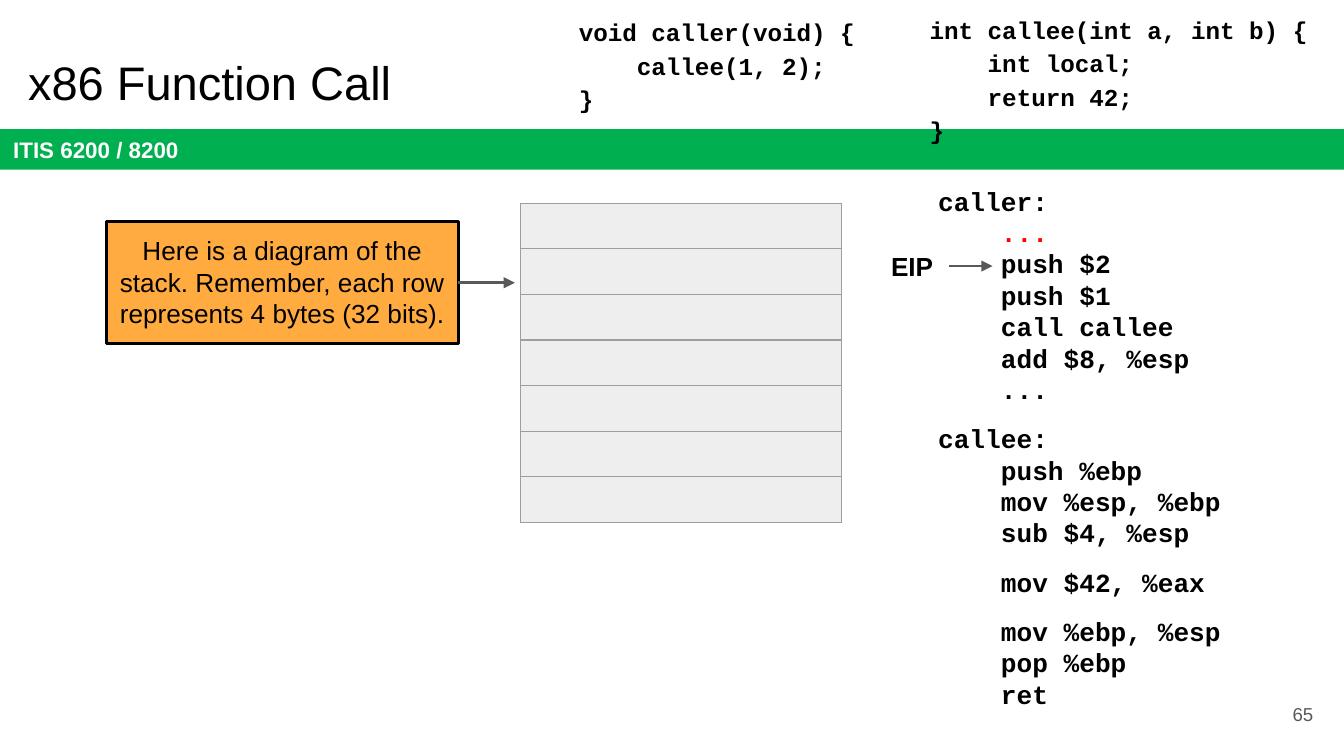
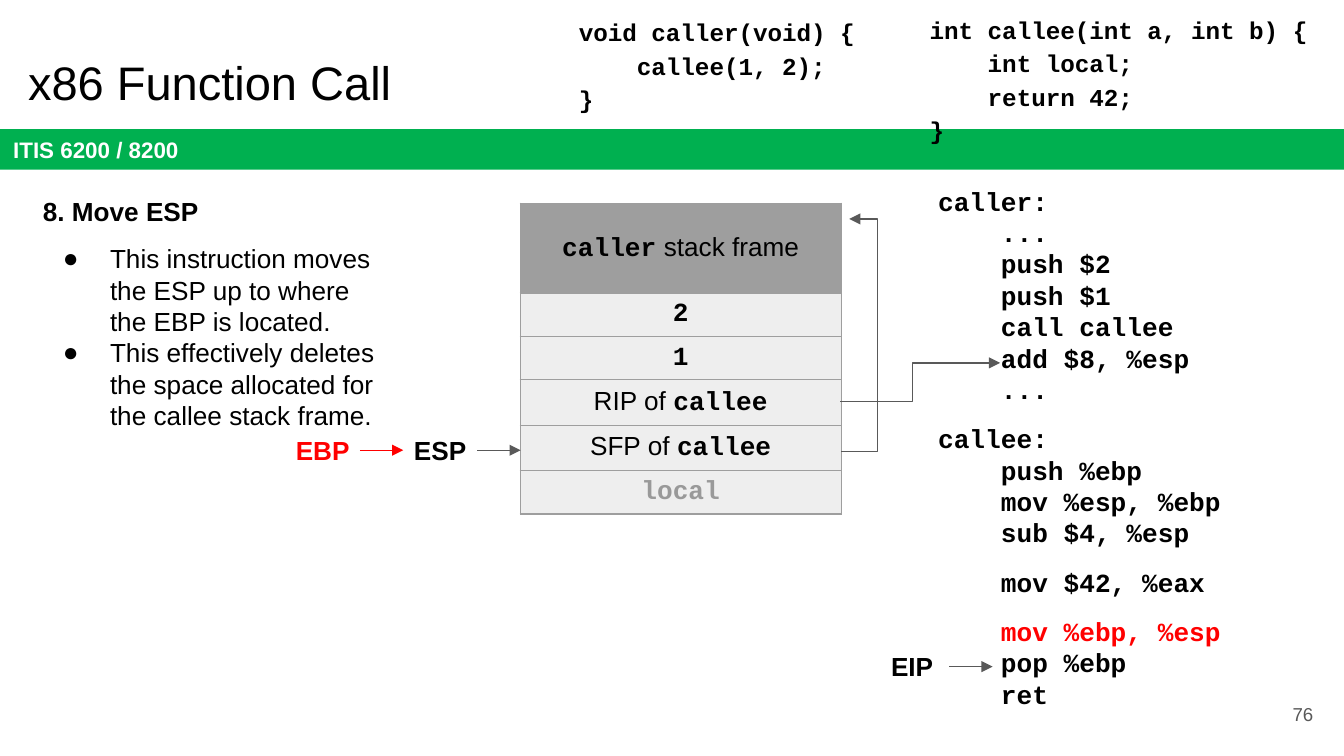
"""Builds two lecture slides that trace an x86 function call on the stack."""
from dataclasses import dataclass, replace

from lxml import etree
from pptx import Presentation
from pptx.dml.color import RGBColor
from pptx.enum.shapes import MSO_CONNECTOR, MSO_SHAPE
from pptx.enum.text import MSO_ANCHOR, MSO_AUTO_SIZE, PP_ALIGN
from pptx.oxml.ns import qn
from pptx.util import Cm, Pt

RECTANGLE = MSO_SHAPE.RECTANGLE
STRAIGHT = MSO_CONNECTOR.STRAIGHT
TOP, MIDDLE = MSO_ANCHOR.TOP, MSO_ANCHOR.MIDDLE
LEFT, CENTER, RIGHT = PP_ALIGN.LEFT, PP_ALIGN.CENTER, PP_ALIGN.RIGHT
NO_AUTOFIT = MSO_AUTO_SIZE.NONE
LEFT_SIDE, RIGHT_SIDE = 1, 3

BLACK, WHITE, RED = "000000", "FFFFFF", "FF0000"
GREEN, ORANGE = "00B050", "FFAB40"
ARROW_GREY, BORDER_GREY, ROW_GREY, FADED_GREY = "595959", "9E9E9E", "EEEEEE", "999999"

WIDE_INSET, SLIM_INSET = 0.25, 0.13
STACK_LEFT, STACK_TOP, STACK_WIDTH = 9.83, 3.84, 6.07
ROW, MIXED_ROW, FRAME_ROW = 0.81, 0.85, 1.7
LABEL_WIDTH, LABEL_HEIGHT, POINTER_LENGTH = 1.4, 0.86, 0.82
EIP_LEFT = 16.54


@dataclass(frozen=True)
class Style:
    """Look of a run of text."""
    size: float = 14
    font: str = "Arial"
    color: str = BLACK
    bold: bool = False


PLAIN = Style()
BOLD = Style(bold=True)
CODE = Style(font="Courier New", bold=True)
SIGNATURE = replace(CODE, size=13)

CALLER_SOURCE = ["void caller(void) {", "    callee(1, 2);", "}"]
CALLEE_SOURCE = ["int callee(int a, int b) {", "    int local;", "    return 42;", "}"]
ASSEMBLY = [
    ["caller:", "    ...", "    push $2", "    push $1", "    call callee",
     "    add $8, %esp", "    ..."],
    ["callee:", "    push %ebp", "    mov %esp, %ebp", "    sub $4, %esp"],
    ["    mov $42, %eax"],
    ["    mov %ebp, %esp", "    pop %ebp", "    ret"],
]
STACK_ROWS = [
    (FRAME_ROW, [("caller", CODE), (" stack frame", PLAIN)]),
    (ROW, [("2", CODE)]),
    (ROW, [("1", CODE)]),
    (MIXED_ROW, [("RIP of ", PLAIN), ("callee", CODE)]),
    (MIXED_ROW, [("SFP of ", PLAIN), ("callee", CODE)]),
    (ROW, [("local", replace(CODE, color=FADED_GREY))]),
]
NOTES = [
    "This instruction moves the ESP up to where the EBP is located.",
    "This effectively deletes the space allocated for the callee stack frame.",
]


def rgb(code):
    """Turn a hex string into a colour."""
    return RGBColor.from_string(code)


def set_fill(target, color):
    """Fill a shape or cell with one colour."""
    target.fill.solid()
    target.fill.fore_color.rgb = rgb(color)


def add_run(paragraph, text, style):
    """Append one styled run to a paragraph."""
    run = paragraph.add_run()
    run.text = text
    run.font.size = Pt(style.size)
    run.font.name = style.font
    run.font.bold = style.bold
    run.font.color.rgb = rgb(style.color)


def set_frame(shape, inset=WIDE_INSET, anchor=TOP):
    """Set wrapping, insets and anchor of a shape, and return its text frame."""
    frame = shape.text_frame
    frame.word_wrap = True
    frame.auto_size = NO_AUTOFIT
    frame.vertical_anchor = anchor
    frame.margin_left = frame.margin_right = Cm(inset)
    frame.margin_top = frame.margin_bottom = Cm(inset)
    return frame


def next_paragraph(frame, first, align=LEFT, spacing=1.0, before=0):
    """Return the first or a new paragraph with its spacing set."""
    paragraph = frame.paragraphs[0] if first else frame.add_paragraph()
    paragraph.alignment = align
    paragraph.line_spacing = spacing
    paragraph.space_before = Pt(0 if first else before)
    paragraph.space_after = Pt(0)
    return paragraph


def add_text(slide, box, text, style, align=LEFT, inset=WIDE_INSET, anchor=TOP):
    """Add a text box that holds one run."""
    holder = slide.shapes.add_textbox(*map(Cm, box))
    frame = set_frame(holder, inset, anchor)
    add_run(next_paragraph(frame, True, align), text, style)
    return holder


def add_panel(slide, box, fill, text, style, align=LEFT, border=None, anchor=TOP):
    """Add a filled rectangle with text."""
    panel = slide.shapes.add_shape(RECTANGLE, *map(Cm, box))
    panel.shadow.inherit = False
    set_fill(panel, fill)
    if border:
        panel.line.color.rgb = rgb(border)
        panel.line.width = Pt(1.5)
    else:
        panel.line.fill.background()
    frame = set_frame(panel, anchor=anchor)
    add_run(next_paragraph(frame, True, align), text, style)
    return panel


def add_source(slide, box, lines):
    """Add a C function whose lines share one paragraph."""
    frame = set_frame(slide.shapes.add_textbox(*map(Cm, box)))
    paragraph = next_paragraph(frame, True, spacing=1.15)
    for index, line in enumerate(lines):
        if index:
            paragraph.add_line_break()
        add_run(paragraph, line, SIGNATURE)


def add_assembly(slide, executed_line):
    """Add the assembly listing with the executed line in red."""
    frame = set_frame(slide.shapes.add_textbox(Cm(17.48), Cm(3.25), Cm(7.19), Cm(10.8)))
    number = 0
    for block in ASSEMBLY:
        for position, line in enumerate(block):
            gap = 9.6 if position == 0 else 0
            paragraph = next_paragraph(frame, number == 0, before=gap)
            color = RED if number == executed_line else BLACK
            add_run(paragraph, line, replace(CODE, color=color))
            number += 1


def add_borders(cell):
    """Draw thin grey lines on all sides of a cell."""
    properties = cell._tc.get_or_add_tcPr()
    for side in ("a:lnL", "a:lnR", "a:lnT", "a:lnB"):
        line = etree.SubElement(properties, qn(side), w=str(Pt(0.75)))
        fill = etree.SubElement(line, qn("a:solidFill"))
        etree.SubElement(fill, qn("a:srgbClr"), val=BORDER_GREY)


def add_stack(slide, rows):
    """Add the stack diagram from pairs of row height and runs."""
    height = sum(row_height for row_height, _ in rows)
    box = (STACK_LEFT, STACK_TOP, STACK_WIDTH, height)
    stack = slide.shapes.add_table(len(rows), 1, *map(Cm, box)).table
    stack.first_row = stack.horz_banding = False
    for index, (row_height, runs) in enumerate(rows):
        stack.rows[index].height = Cm(row_height)
        cell = stack.cell(index, 0)
        cell.margin_left = cell.margin_right = Cm(SLIM_INSET)
        cell.margin_top = cell.margin_bottom = Cm(SLIM_INSET)
        is_frame = row_height == FRAME_ROW
        cell.vertical_anchor = MIDDLE if is_frame else TOP
        add_borders(cell)
        set_fill(cell, BORDER_GREY if is_frame else ROW_GREY)
        paragraph = cell.text_frame.paragraphs[0]
        paragraph.alignment = CENTER
        for text, style in runs:
            add_run(paragraph, text, style)
        if not runs:
            etree.SubElement(paragraph._p, qn("a:endParaRPr"), sz="1400")


def style_arrow(line, color, width):
    """Colour a line and put an arrowhead at its end."""
    line.color.rgb = rgb(color)
    line.width = Pt(width)
    etree.SubElement(line._get_or_add_ln(), qn("a:tailEnd"), type="triangle")


def add_arrow(slide, source, end_x, color=ARROW_GREY, width=0.75):
    """Add a level arrow from the right side of a shape."""
    middle = source.top + source.height // 2
    arrow = slide.shapes.add_connector(
        STRAIGHT, source.left + source.width, middle, Cm(end_x), middle)
    arrow.begin_connect(source, RIGHT_SIDE)
    style_arrow(arrow.line, color, width)
    etree.SubElement(arrow._element.spPr, qn("a:effectLst"))
    return arrow


def add_pointer(slide, name, left, top, color=BLACK, arrow_color=ARROW_GREY):
    """Add a register name with an arrow to its right."""
    label = add_text(slide, (left, top, LABEL_WIDTH, LABEL_HEIGHT), name,
                     replace(BOLD, color=color), CENTER, SLIM_INSET)
    end_x = left + LABEL_WIDTH + POINTER_LENGTH
    return label, add_arrow(slide, label, end_x, arrow_color)


def add_bent_arrow(slide, points):
    """Add an open path with an arrowhead at its last point."""
    corners = [(Cm(x), Cm(y)) for x, y in points]
    builder = slide.shapes.build_freeform(*corners[0])
    builder.add_line_segments(corners[1:], close=False)
    route = builder.convert_to_shape()
    route.shadow.inherit = False
    route.fill.background()
    style_arrow(route.line, ARROW_GREY, 0.75)


def add_bullet(paragraph):
    """Give a paragraph a hanging round bullet."""
    properties = paragraph._p.get_or_add_pPr()
    properties.set("marL", str(Cm(1.27)))
    properties.set("indent", str(Cm(-0.89)))
    color = etree.SubElement(properties, qn("a:buClr"))
    etree.SubElement(color, qn("a:srgbClr"), val=BLACK)
    etree.SubElement(properties, qn("a:buFont"), typeface="Arial")
    etree.SubElement(properties, qn("a:buChar"), char="●")


def add_notes(slide, heading, notes):
    """Add the step heading and its bulleted explanation."""
    frame = set_frame(slide.shapes.add_textbox(Cm(0.56), Cm(3.45), Cm(6.81), Cm(10.46)))
    add_run(next_paragraph(frame, True), heading, BOLD)
    for index, note in enumerate(notes):
        paragraph = next_paragraph(frame, False, before=0 if index else 8.4)
        add_bullet(paragraph)
        add_run(paragraph, note, PLAIN)


def start_slide(deck, number, executed_line):
    """Add a slide with the title, band, page number and code listings."""
    slide = deck.slides.add_slide(deck.slide_layouts[5])
    title = slide.shapes.title
    title.left, title.top, title.width, title.height = map(Cm, (0.28, 0.76, 23.67, 1.6))
    add_run(next_paragraph(set_frame(title), True), "x86 Function Call", Style(size=25.2))
    add_panel(slide, (0, 2.44, 25.4, 0.77), GREEN, "ITIS 6200 / 8200",
              Style(12, color=WHITE, bold=True), anchor=MIDDLE)
    add_text(slide, (23.55, 12.95, 1.52, 1.09), number,
             Style(10, color=ARROW_GREY), RIGHT, anchor=MIDDLE)
    add_source(slide, (10.69, 0, 6.35, 2.39), CALLER_SOURCE)
    add_source(slide, (17.32, -0.05, 7.75, 3), CALLEE_SOURCE)
    add_assembly(slide, executed_line)
    return slide


def build_empty_stack(deck):
    """Build the slide that introduces the stack diagram."""
    slide = start_slide(deck, "65", 1)
    add_stack(slide, [(ROW, [])] * 7)
    callout = add_panel(
        slide, (2.01, 4.19, 6.65, 2.31), ORANGE,
        "Here is a diagram of the stack. Remember, each row represents 4 bytes (32 bits).",
        PLAIN, CENTER, BLACK)
    add_arrow(slide, callout, 9.73, width=1.5)
    add_pointer(slide, "EIP", EIP_LEFT, 4.6)


def build_move_esp(deck):
    """Build the slide for the step that moves the ESP."""
    slide = start_slide(deck, "76", 12)
    add_stack(slide, STACK_ROWS)
    add_notes(slide, "8. Move ESP", NOTES)
    add_bent_arrow(slide, [(15.9, 8.53), (16.59, 8.53), (16.59, 4.14), (16.05, 4.14)])
    add_bent_arrow(slide, [(15.88, 7.59), (17.25, 7.59), (17.25, 6.86), (18.9, 6.86)])
    _, ebp_arrow = add_pointer(slide, "EBP", 5.4, 8.08, RED, RED)
    esp, _ = add_pointer(slide, "ESP", 7.62, 8.08)
    ebp_arrow.end_connect(esp, LEFT_SIDE)
    add_pointer(slide, "EIP", EIP_LEFT, 12.17)


def main():
    """Build and save the deck."""
    deck = Presentation()
    deck.slide_width, deck.slide_height = Cm(25.4), Cm(14.29)
    build_empty_stack(deck)
    build_move_esp(deck)
    deck.save("out.pptx")


if __name__ == "__main__":
    main()
